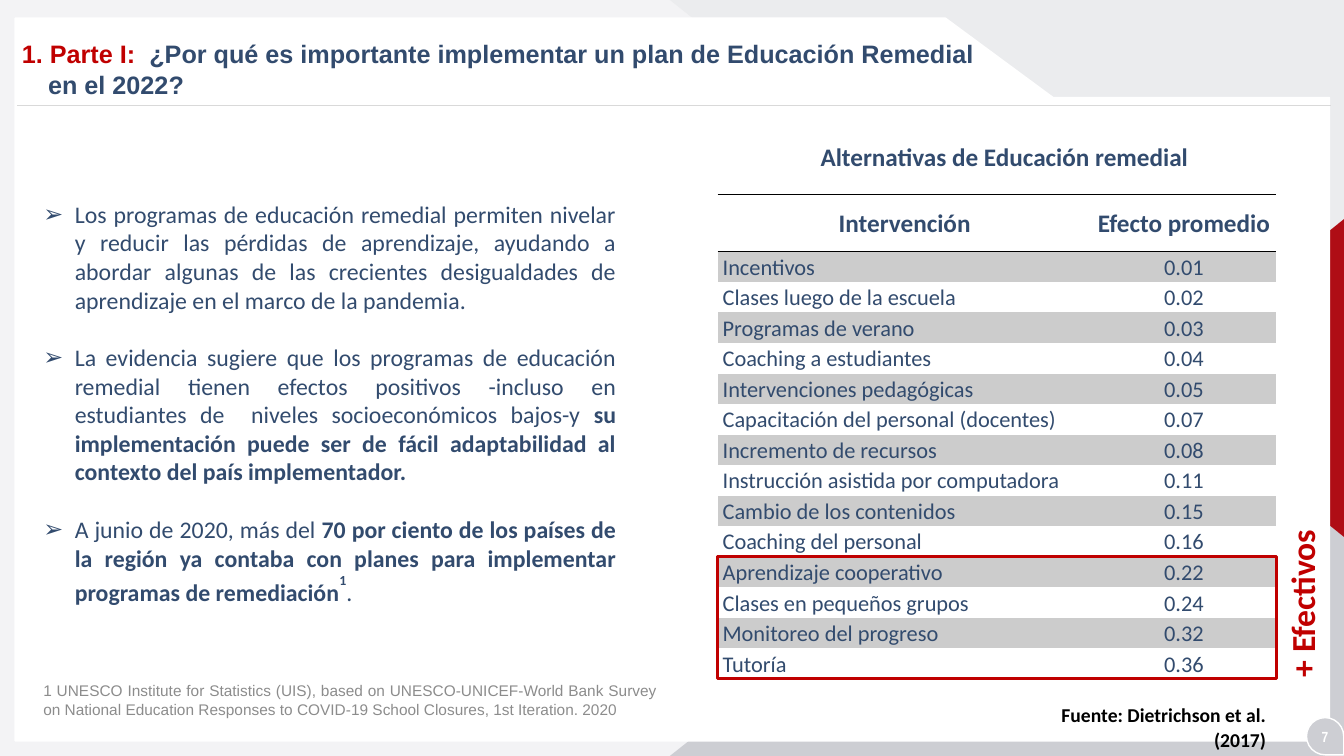
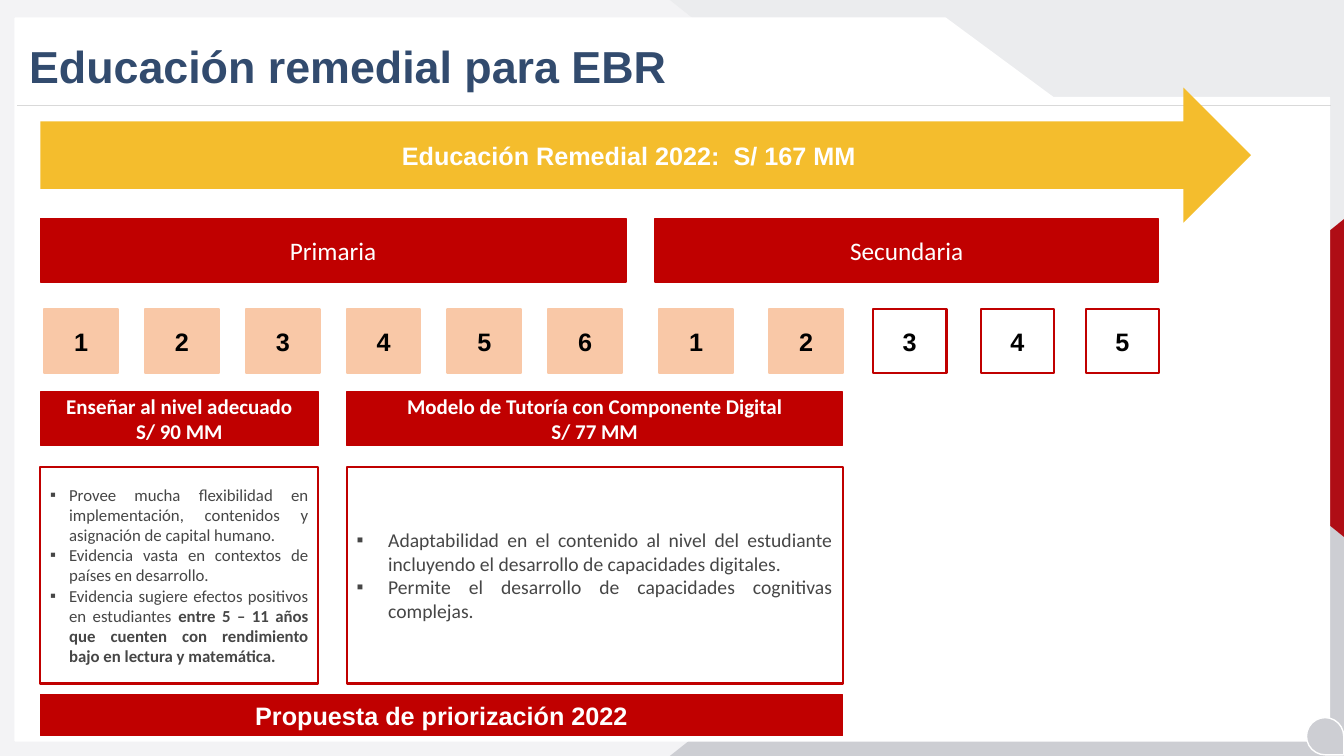
from lxml.etree import SubElement
from pptx import Presentation
from pptx.dml.color import RGBColor
from pptx.enum.shapes import MSO_CONNECTOR as Connector, MSO_SHAPE as Preset
from pptx.enum.text import MSO_ANCHOR as Anchor, PP_ALIGN as Align
from pptx.oxml import parse_xml
from pptx.oxml.ns import nsdecls, qn
from pptx.util import Pt

COLORS = {
    "white": "FFFFFF", "black": "000000", "navy": "324B6E", "red": "C00000",
    "dark_red": "AF0D15", "yellow": "F4BD2D", "peach": "F9C8A7",
    "text": "464646", "note": "8C8C8C", "band": "CCCCCC", "rule": "D9D9D9",
    "page": "F3F3F5", "light": "EBECEE", "silver": "CDCED3",
}
PLAIN_TABLE = "{2D5ABB26-0587-4C30-8999-92F81FD0307C}"
PANEL = [(10.8, 13), (675.4, 13), (752.4, 69.8), (949.7, 69.8), (949.7, 529.2), (10.8, 529.2)]

INTERVENTIONS = [
    ("Incentivos", "0.01"),
    ("Clases luego de la escuela", "0.02"),
    ("Programas de verano", "0.03"),
    ("Coaching a estudiantes", "0.04"),
    ("Intervenciones pedagógicas", "0.05"),
    ("Capacitación del personal (docentes)", "0.07"),
    ("Incremento de recursos", "0.08"),
    ("Instrucción asistida por computadora", "0.11"),
    ("Cambio de los contenidos", "0.15"),
    ("Coaching del personal", "0.16"),
    ("Aprendizaje cooperativo", "0.22"),
    ("Clases en pequeños grupos", "0.24"),
    ("Monitoreo del progreso", "0.32"),
    ("Tutoría", "0.36"),
]


def font(name, size, color, bold=False):
    return {"name": name, "size": Pt(size), "bold": bold, "color": color}


def rgb(color):
    return RGBColor.from_string(COLORS[color])


def apply(target, formats):
    for name, value in formats.items():
        setattr(target, name, value)


class Deck:
    """Holds the shared style and the slide being built."""

    def __init__(self):
        self.presentation = Presentation()
        apply(self.presentation, {"slide_width": Pt(960), "slide_height": Pt(540)})
        self.slide = None

    def new_slide(self):
        self.slide = self.presentation.slides.add_slide(self.presentation.slide_layouts[6])
        self.shape((0, 0, 960, 540), "page")
        for top, color, flipped in ((0, "light", True), (157.7, "silver", False)):
            corner = self.shape((478.5, top, 481.5, 382.3), color, preset=Preset.ISOSCELES_TRIANGLE)
            corner.adjustments[0] = 1
            if flipped:
                corner.element.spPr.get_or_add_xfrm().set("flipV", "1")
        self.shape((776, 199.5, 227, 141), "dark_red", preset=Preset.ISOSCELES_TRIANGLE, rotation=270)
        self.panel()
        self.rule((950.4, 75), (12.4, 75))
        self.shape((933.2, 512.6, 26.6, 26.6), "silver", ("white", 1), Preset.TEAR, 90)

    # Shapes and lines
    def paint(self, shape, fill, line):
        shape.shadow.inherit = False
        if fill:
            shape.fill.solid()
            shape.fill.fore_color.rgb = rgb(fill)
        else:
            shape.fill.background()
        if line:
            shape.line.color.rgb = rgb(line[0])
            shape.line.width = Pt(line[1])
        else:
            shape.line.fill.background()

    def shape(self, place, fill=None, line=None, preset=Preset.RECTANGLE, rotation=0):
        shape = self.slide.shapes.add_shape(preset, *map(Pt, place))
        shape.rotation = rotation
        self.paint(shape, fill, line)
        return shape

    def panel(self):
        points = [(Pt(x), Pt(y)) for x, y in PANEL]
        builder = self.slide.shapes.build_freeform(*points[0])
        builder.add_line_segments(points[1:], close=True)
        self.paint(builder.convert_to_shape(), "white", ("white", 1))

    def rule(self, start, end):
        line = self.slide.shapes.add_connector(Connector.STRAIGHT, *map(Pt, start + end))
        line.line.color.rgb = rgb("rule")
        line.line.width = Pt(0.5)
        SubElement(line.element.spPr, qn("a:effectLst"))

    # Text
    def set_text(self, frame, paragraphs, base, align=Align.LEFT, anchor=Anchor.TOP,
                 bullet=None, hanging=0, gap=0, spacing=1.0):
        """Each paragraph is a list of (text, font changes) pairs, or one string."""
        apply(frame, {"word_wrap": True, "vertical_anchor": anchor})
        for index, runs in enumerate(paragraphs):
            paragraph = frame.add_paragraph() if index else frame.paragraphs[0]
            properties = paragraph._p.get_or_add_pPr()
            if hanging:
                properties.set("marL", str(Pt(hanging)))
                properties.set("indent", str(-Pt(hanging)))
            if bullet:
                SubElement(properties, qn("a:buFont")).set("typeface", "Arial")
                SubElement(properties, qn("a:buChar")).set("char", bullet)
            apply(paragraph, {"alignment": align, "line_spacing": spacing,
                              "space_before": Pt(gap if index else 0)})
            for text, changes in [(runs, {})] if isinstance(runs, str) else runs:
                self.add_run(paragraph, text, {**base, **changes})

    def add_run(self, paragraph, text, formats):
        run = paragraph.add_run()
        run.text = text
        formats = dict(formats)
        run.font.color.rgb = rgb(formats.pop("color"))
        baseline = formats.pop("baseline", None)
        if baseline:
            run._r.get_or_add_rPr().set("baseline", baseline)
        apply(run.font, formats)

    def text(self, place, paragraphs, base, rotation=0, **layout):
        box = self.slide.shapes.add_textbox(*map(Pt, place))
        box.rotation = rotation
        self.set_text(box.text_frame, paragraphs, base, **layout)

    def box(self, place, paragraphs, base, fill=None, line=None, preset=Preset.RECTANGLE,
            align=Align.CENTER, **layout):
        shape = self.shape(place, fill, line, preset)
        self.set_text(shape.text_frame, paragraphs, base, align, Anchor.MIDDLE, **layout)

    def red_box(self, place, paragraphs, base):
        self.box(place, paragraphs, base, "red", ("red", 1))

    # Table
    def table(self, place, widths, header_height, rows, header_font, body_font):
        table = self.slide.shapes.add_table(len(rows), len(widths), *map(Pt, place)).table
        apply(table, {"first_row": False, "horz_banding": False})
        table._tbl.tblPr.find(qn("a:tableStyleId")).text = PLAIN_TABLE
        for column, width in zip(table.columns, widths):
            column.width = Pt(width)
        last = len(rows) - 1
        body_height = (place[3] - header_height) / last
        for row_index, values in enumerate(rows):
            table.rows[row_index].height = Pt(body_height if row_index else header_height)
            for column_index, value in enumerate(values):
                cell = table.cell(row_index, column_index)
                apply(cell, {"margin_left": Pt(3.6), "margin_right": Pt(3.6), "margin_top": 0,
                             "margin_bottom": 0, "vertical_anchor": Anchor.MIDDLE})
                if row_index % 2:
                    cell.fill.solid()
                    cell.fill.fore_color.rgb = rgb("band")
                else:
                    cell.fill.background()
                centered = row_index == 0 or column_index > 0
                paragraph = cell.text_frame.paragraphs[0]
                apply(paragraph, {"alignment": Align.CENTER if centered else Align.LEFT,
                                  "line_spacing": 1.07})
                self.add_run(paragraph, value, body_font if row_index else header_font)
                edges = {0: ("lnB", "lnT"), last: ("lnB",)}.get(row_index, ())
                for edge in edges:
                    self.border(cell, edge)

    def border(self, cell, edge):
        cell._tc.get_or_add_tcPr().insert(0, parse_xml(
            f'<a:{edge} {nsdecls("a")} w="{Pt(1)}"><a:solidFill>'
            f'<a:srgbClr val="{COLORS["black"]}"/></a:solidFill></a:{edge}>'))


def importance_slide(deck):
    deck.new_slide()
    bold = {"bold": True}
    heading = font("Calibri", 18, "navy", True)
    deck.text((8.6, 0, 717, 98.6),
              [[("1. Parte I:  ", {"color": "red"}),
                ("¿Por qué es importante implementar un plan de Educación Remedial en el 2022?", {})]],
              font("Arial", 18, "navy", True), anchor=Anchor.MIDDLE, hanging=18.7)
    deck.text((929.5, 516.2, 33.8, 20.2), ["7"], font("Arial Narrow", 10.5, "white", True),
              align=Align.CENTER, anchor=Anchor.MIDDLE)

    # Effects table and its highlight
    deck.table((512.6, 139.2, 399, 345.6), (267.2, 131.8), 40.4,
               [("Intervención", "Efecto promedio"), *INTERVENTIONS],
               heading, font("Calibri", 16, "navy"))
    deck.text((807.1, 350, 245.5, 36), ["+ Efectivos"], font("Calibri", 24, "red", True), rotation=270)
    deck.shape((512.6, 397.4, 399, 87.6), line=("red", 2.25))
    deck.text((717.8, 497.5, 193.7, 24.5), ["Fuente: Dietrichson et al. (2017)"],
              font("Calibri", 14, "black", True), align=Align.RIGHT, spacing=1.07)
    deck.text((579, 97.2, 278, 29), ["Alternativas de Educación remedial"], heading)

    # Arguments and footnote
    deck.text((23.8, 139, 423.4, 316), [
        "Los programas de educación remedial permiten nivelar y reducir las pérdidas de aprendizaje, "
        "ayudando a abordar algunas de las crecientes desigualdades de aprendizaje en el marco de la "
        "pandemia.",
        [("La evidencia sugiere que los programas de educación remedial tienen efectos positivos "
          "-incluso en estudiantes de  niveles socioeconómicos bajos-y ", {}),
         ("su implementación puede ser de fácil adaptabilidad al contexto del país implementador.", bold)],
        [("A junio de 2020, más del ", {}),
         ("70 por ciento de los países de la región ya contaba con planes para implementar "
          "programas de remediación", bold),
         ("1", {"bold": True, "baseline": "66000"}),
         (".", {})],
    ], font("Calibri", 17, "navy"), align=Align.JUSTIFY, bullet="➢", hanging=22.5, gap=20.7)
    deck.text((23.8, 472.3, 453, 55.4),
              ["1 UNESCO Institute for Statistics (UIS), based on UNESCO-UNICEF-World Bank Survey on "
               "National Education Responses to COVID-19 School Closures, 1st Iteration. 2020"],
              font("Arial", 11, "note"), align=Align.JUSTIFY, anchor=Anchor.MIDDLE)


def program_slide(deck):
    deck.new_slide()
    left, middle = 28.8, 247.7
    narrow, wide = 198.7, 354.2
    banner = font("Arial", 18, "white", True)
    deck.text((13.7, 23.8, 606, 46), ["Educación remedial para EBR"], font("Arial", 32, "navy", True))
    deck.box((left, 62.6, 864.7, 96.5), ["Educación Remedial 2022:  S/ 167 MM"], banner,
             "yellow", preset=Preset.RIGHT_ARROW)

    # School levels and grades
    primary = [31.7 + 72 * step for step in range(6)]
    secondary = [471, 549.5, 623.5, 700.5, 775.5]
    for name, start, width, grades, chosen in (("Primaria", left, 418.3, primary, 6),
                                               ("Secundaria", 468, 359.3, secondary, 2)):
        deck.red_box((start, 156.2, width, 45.4), [name], font("Calibri", 18, "white"))
        for grade, grade_left in enumerate(grades, 1):
            fill, line = ("peach", "peach") if grade <= chosen else (None, "red")
            deck.box((grade_left, 221, 52.6, 45.4), [str(grade)],
                     font("Arial", 18, "black", True), fill, (line, 1.5))

    # Models with their reasons
    models = [
        (left, narrow, ["Enseñar al nivel adecuado", "S/ 90 MM"], 12, 13.5, [
            "Provee mucha flexibilidad en implementación, contenidos y asignación de capital humano.",
            "Evidencia vasta en contextos de países en desarrollo.",
            [("Evidencia sugiere efectos positivos en estudiantes ", {}),
             ("entre 5 – 11 años que cuenten con rendimiento bajo en lectura y matemática.",
              {"bold": True})]]),
        (middle, wide, ["Modelo de Tutoría con Componente Digital", "S/ 77 MM"], 14, 22.5, [
            "Adaptabilidad en el contenido al nivel del estudiante incluyendo el desarrollo de "
            "capacidades digitales.",
            "Permite el desarrollo de capacidades cognitivas complejas."]),
    ]
    for start, width, title, size, hanging, reasons in models:
        deck.red_box((start, 280, width, 38.2), title, font("Calibri", 15, "white", True))
        deck.box((start, 333.4, width, 154.8), reasons, font("Calibri", size, "text"), "white",
                 ("red", 1.5), align=Align.JUSTIFY, bullet="▪", hanging=hanging)
    deck.red_box((left, 496.1, 573.1, 29.5), ["Propuesta de priorización 2022"], banner)


def main():
    deck = Deck()
    importance_slide(deck)
    program_slide(deck)
    deck.presentation.save("out.pptx")


if __name__ == "__main__":
    main()
